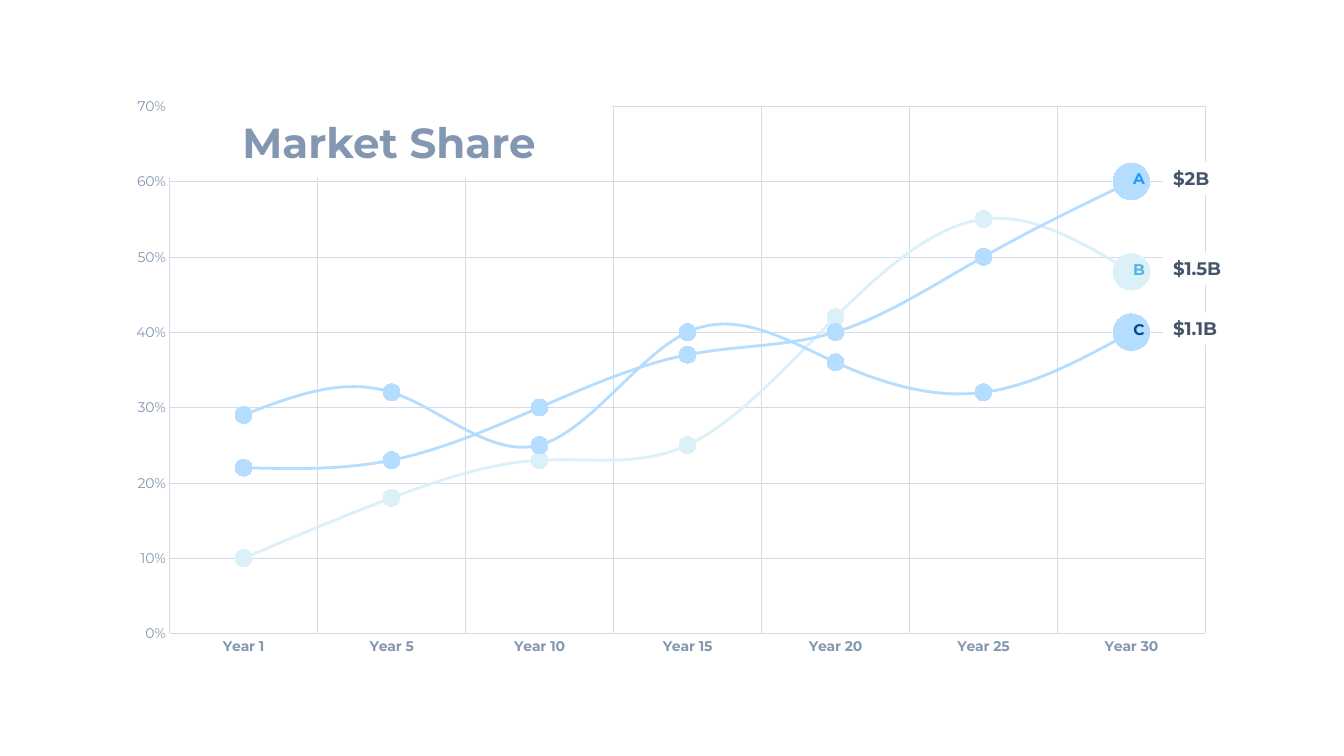
from pptx import Presentation
from pptx.chart.data import CategoryChartData as Data
from pptx.dml.color import RGBColor
from pptx.enum.chart import XL_CHART_TYPE as Kind, XL_MARKER_STYLE as Mark, XL_TICK_MARK as Tick
from pptx.enum.shapes import MSO_SHAPE as Form
from pptx.enum.text import MSO_ANCHOR as Anchor, PP_ALIGN as Align
from pptx.oxml import parse_xml
from pptx.oxml.ns import nsdecls
from pptx.util import Pt

WHITE = RGBColor(0xFF, 0xFF, 0xFF)
STEEL = RGBColor(0x84, 0x97, 0xB0)
SLATE = RGBColor(0x44, 0x54, 0x6A)
GRID = RGBColor(0xD6, 0xDC, 0xE5)
AXIS = RGBColor(0xD9, 0xD9, 0xD9)
BLUE = RGBColor(0x22, 0x99, 0xFD)
TEAL = RGBColor(0x4F, 0xB4, 0xDE)
NAVY = RGBColor(0x01, 0x4B, 0x8A)
SKY = RGBColor(0xB5, 0xDD, 0xFF)
ICE = RGBColor(0xDC, 0xF0, 0xF7)

YEARS = ["Year 1"] + [f"Year {n}" for n in range(5, 31, 5)]
LINES = [
    ("Series 1", (0.1, 0.18, 0.23, 0.25, 0.42, 0.55, 0.48), ICE),
    ("Series 2", (0.22, 0.23, 0.3, 0.37, 0.4, 0.5, 0.6), SKY),
    ("Series 3", (0.29, 0.32, 0.25, 0.4, 0.36, 0.32, 0.4), SKY),
]
# Letter, its colour, top, value, width of the value tag
ENDS = [
    ("A", BLUE, 117.4, "$2B", 40.3),
    ("B", TEAL, 182, "$1.5B", 49.7),
    ("C", NAVY, 224.8, "$1.1B", 46.8),
]


class Page:
    font = "Montserrat"

    def __init__(self, slide):
        self.shapes = slide.shapes

    def style(self, font, size, color, bold=False):
        font.name, font.size, font.bold = self.font, Pt(size), bold
        font.color.rgb = color

    def words(self, shape, text, size, color, align, wrap=False):
        frame = shape.text_frame
        frame.word_wrap = wrap
        para = frame.paragraphs[0]
        para.alignment = align
        run = para.add_run()
        run.text = text
        self.style(run.font, size, color, True)
        return frame

    def label(self, box, text, size, color):
        shape = self.shapes.add_textbox(*map(Pt, box))
        self.words(shape, text, size, color, Align.CENTER)

    def panel(self, box, text, size, color, align, wrap=False):
        shape = self.shapes.add_shape(Form.RECTANGLE, *map(Pt, box))
        shape.shadow.inherit = False
        shape.fill.solid()
        shape.fill.fore_color.rgb = WHITE
        shape.line.fill.background()
        frame = self.words(shape, text, size, color, align, wrap)
        frame.vertical_anchor = Anchor.MIDDLE
        return frame

    def dot(self, mark, size, color):
        mark.style, mark.size = Mark.CIRCLE, size
        mark.format.fill.solid()
        mark.format.fill.fore_color.rgb = color
        mark.format.line.fill.background()

    def axis(self, axis, bold):
        axis.major_tick_mark = axis.minor_tick_mark = Tick.NONE
        axis.has_major_gridlines = True
        rule = axis.major_gridlines.format.line
        rule.color.rgb, rule.width = GRID, Pt(0.25)
        self.style(axis.tick_labels.font, 10, STEEL, bold)

    def chart(self, box, cats, lines, plot):
        data = Data(number_format="0%")
        data.categories = cats
        for name, vals, _ in lines:
            data.add_series(name, vals)
        chart = self.shapes.add_chart(Kind.LINE_MARKERS, *map(Pt, box), data).chart
        chart.has_legend = chart.has_title = False
        self.style(chart.font, 10, STEEL)

        # Axes
        across, up = chart.category_axis, chart.value_axis
        self.axis(across, True)
        self.axis(up, False)
        across.format.line.color.rgb = AXIS
        across.format.line.width = Pt(0.75)
        up.format.line.fill.background()
        up.minimum_scale, up.maximum_scale, up.major_unit = 0, 0.7, 0.1
        up.tick_labels.number_format = "0%"
        up.tick_labels.number_format_is_linked = False

        # Curves, each ending in a large dot
        chart.plots[0].vary_by_categories = False
        for line, (_, vals, color) in zip(chart.plots[0].series, lines):
            line.smooth = True
            end = line.points[len(vals) - 1]
            for part, size in ((line, 12), (end, 26)):
                part.format.line.color.rgb = color
                part.format.line.width = Pt(2)
                self.dot(part.marker, size, color)

        # Fixed inner plot area
        area = chart.plots[0]._element.getparent()
        for old in area.findall("{*}layout"):
            area.remove(old)
        spots = "".join(f'<c:{k} val="{v}"/>' for k, v in zip("xywh", plot))
        area.insert(0, parse_xml(
            f'<c:layout {nsdecls("c")}><c:manualLayout><c:layoutTarget val="inner"/>'
            f'<c:xMode val="edge"/><c:yMode val="edge"/>{spots}</c:manualLayout></c:layout>'))


def main():
    deck = Presentation()
    deck.slide_width, deck.slide_height = Pt(960), Pt(540)
    page = Page(deck.slides.add_slide(deck.slide_layouts[6]))

    # Chart
    page.chart((81.4, 63.4, 795.6, 414), YEARS, LINES, (0.05, 0.03, 0.93, 0.91))

    # Letters and values at the line ends
    for name, color, top, value, width in ENDS:
        page.label((802.1, top, 23, 20.9), name, 11, color)
        page.panel((830.9, top - 1.6, width, 23), value, 13, SLATE, Align.LEFT)

    # Title
    frame = page.panel((118.8, 75.6, 318.2, 51.1), "Market Share", 30, STEEL, Align.CENTER, True)
    frame.margin_left = frame.margin_right = Pt(14.4)
    frame.margin_top = frame.margin_bottom = Pt(7.2)

    deck.save("out.pptx")


if __name__ == "__main__":
    main()
